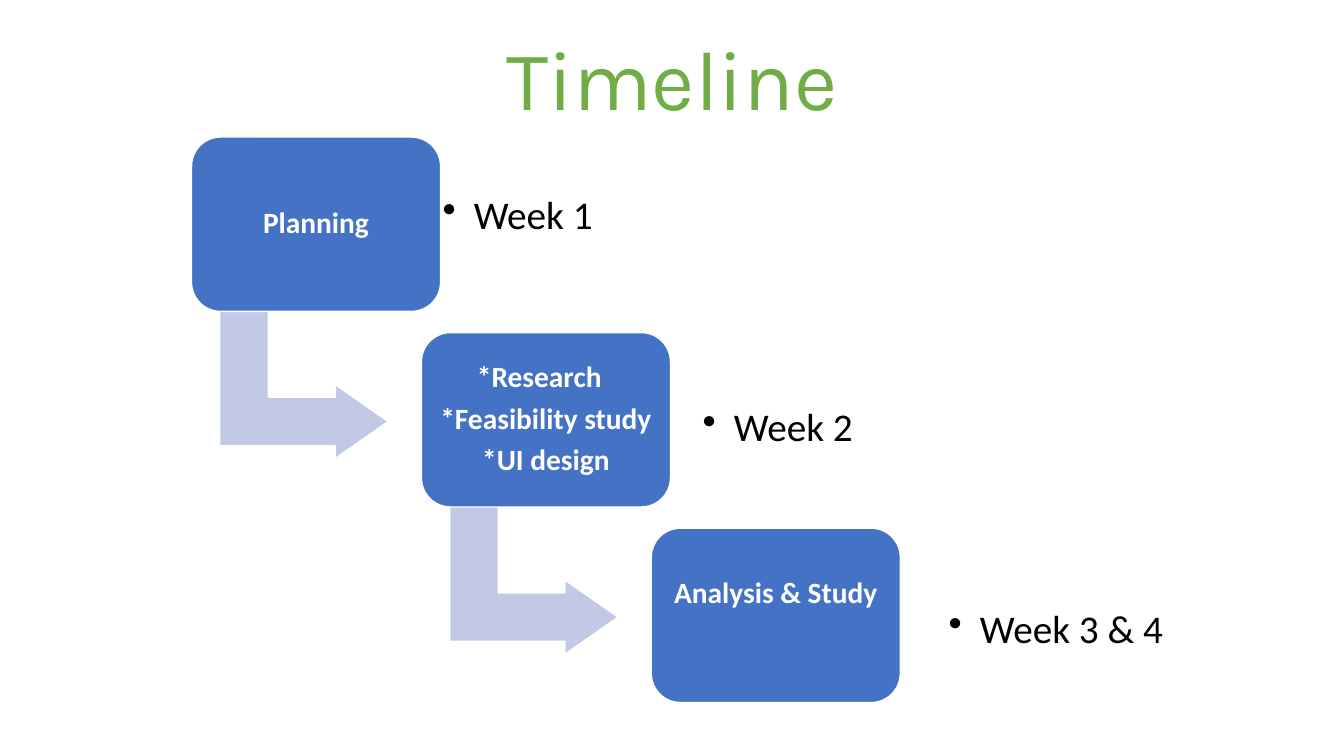
from dataclasses import dataclass

from lxml import etree
from pptx import Presentation
from pptx.dml.color import RGBColor
from pptx.enum.shapes import MSO_SHAPE
from pptx.enum.text import MSO_ANCHOR, PP_ALIGN
from pptx.oxml.ns import qn
from pptx.shapes.autoshape import Shape
from pptx.slide import Slide
from pptx.text.text import TextFrame, _Paragraph
from pptx.util import Inches, Pt

ROUNDED = MSO_SHAPE.ROUNDED_RECTANGLE
BENT_ARROW = MSO_SHAPE.BENT_UP_ARROW
MIDDLE = MSO_ANCHOR.MIDDLE
CENTER = PP_ALIGN.CENTER


@dataclass(frozen=True)
class Theme:
    title_font: str = "Karla"
    body_font: str = "Calibri"
    title_size: int = 60
    step_size: int = 21
    week_size: int = 28
    title_color: str = "70AD47"
    step_fill: str = "4472C4"
    arrow_fill: str = "C1C9E4"
    light: str = "FFFFFF"
    dark: str = "000000"


@dataclass(frozen=True)
class Step:
    lines: tuple[str, ...]
    week: str
    week_left: float
    week_top: float
    week_inset: float = 0.12
    text_lift: float = 0.0


THEME = Theme()
STEPS = (
    Step(("Planning",), "Week 1", 4.27, 1.45),
    Step(("*Research  ", "*Feasibility study", "*UI design"), "Week 2", 6.85, 3.55),
    Step(("Analysis & Study",), "Week 3 & 4", 9.26, 5.56, 0.15, 0.42),
)
FIRST_LEFT, FIRST_TOP = 1.9, 1.36
STEP_RIGHT, STEP_DOWN = 2.28, 1.94
BOX_WIDTH, BOX_HEIGHT = 2.47, 1.73
ARROW_RIGHT, ARROW_DOWN = 0.38, 1.62
ARROW_WIDTH, ARROW_HEIGHT = 1.47, 1.67


def set_font(paragraph: _Paragraph, name: str, size: int, color: str, bold: bool = False) -> None:
    font = paragraph.font
    font.name, font.size, font.bold = name, Pt(size), bold
    font.color.rgb = RGBColor.from_string(color)


def set_frame(frame: TextFrame, inset: float) -> None:
    """Wrap and centre the text vertically inside equal margins."""
    frame.word_wrap = True
    frame.vertical_anchor = MIDDLE
    frame.margin_left = frame.margin_right = Inches(inset)
    frame.margin_top = frame.margin_bottom = Inches(inset)


def add_block(slide: Slide, kind: MSO_SHAPE, left: float, top: float, width: float,
              height: float, fill: str, adjustments: tuple[float, ...]) -> Shape:
    shape = slide.shapes.add_shape(kind, Inches(left), Inches(top), Inches(width), Inches(height))
    shape.shadow.inherit = False
    shape.fill.solid()
    shape.fill.fore_color.rgb = RGBColor.from_string(fill)
    shape.line.color.rgb = RGBColor.from_string(THEME.light)
    shape.line.width = Pt(1)
    for index, value in enumerate(adjustments):
        shape.adjustments[index] = value
    return shape


def add_title(slide: Slide, text: str) -> None:
    box = slide.shapes.add_textbox(Inches(0.78), Inches(0.21), Inches(11.77), Inches(1.11))
    box.text_frame.word_wrap = True
    paragraph = box.text_frame.paragraphs[0]
    paragraph.text = text
    paragraph.alignment = CENTER
    set_font(paragraph, THEME.title_font, THEME.title_size, THEME.title_color)


def add_arrow(slide: Slide, box_left: float, box_top: float) -> None:
    """Lead from under a box towards the next one."""
    arrow = add_block(slide, BENT_ARROW, box_left + ARROW_RIGHT, box_top + ARROW_DOWN,
                      ARROW_WIDTH, ARROW_HEIGHT, THEME.arrow_fill, (0.328, 0.25, 0.358))
    arrow.rotation = 90


def add_step_box(slide: Slide, step: Step, left: float, top: float) -> None:
    box = add_block(slide, ROUNDED, left, top, BOX_WIDTH, BOX_HEIGHT, THEME.step_fill, (0.167,))
    frame = box.text_frame
    set_frame(frame, 0.09)
    frame.margin_bottom = Inches(0.09 + step.text_lift)
    frame.text = "\n".join(step.lines)
    for paragraph in frame.paragraphs:
        paragraph.alignment = CENTER
        paragraph.line_spacing = 0.9
        paragraph.space_after = Pt(7)
        set_font(paragraph, THEME.body_font, THEME.step_size, THEME.light, bold=True)


def add_week(slide: Slide, step: Step) -> None:
    box = slide.shapes.add_textbox(Inches(step.week_left), Inches(step.week_top),
                                   Inches(2.77), Inches(1.4))
    set_frame(box.text_frame, step.week_inset)
    paragraph = box.text_frame.paragraphs[0]
    paragraph.text = step.week
    paragraph.line_spacing = 0.9
    properties = paragraph._p.get_or_add_pPr()
    properties.set("marL", str(Inches(0.31)))
    properties.set("indent", str(-Inches(0.31)))
    etree.SubElement(properties, qn("a:buChar")).set("char", "•")
    set_font(paragraph, THEME.body_font, THEME.week_size, THEME.dark)


def main() -> None:
    presentation = Presentation()
    presentation.slide_width, presentation.slide_height = Inches(13.33), Inches(7.5)
    slide = presentation.slides.add_slide(presentation.slide_layouts[6])
    add_title(slide, "Timeline")
    for index, step in enumerate(STEPS):
        left = FIRST_LEFT + index * STEP_RIGHT
        top = FIRST_TOP + index * STEP_DOWN
        if index < len(STEPS) - 1:
            add_arrow(slide, left, top)
        add_step_box(slide, step, left, top)
        add_week(slide, step)
    presentation.save("out.pptx")


if __name__ == "__main__":
    main()
